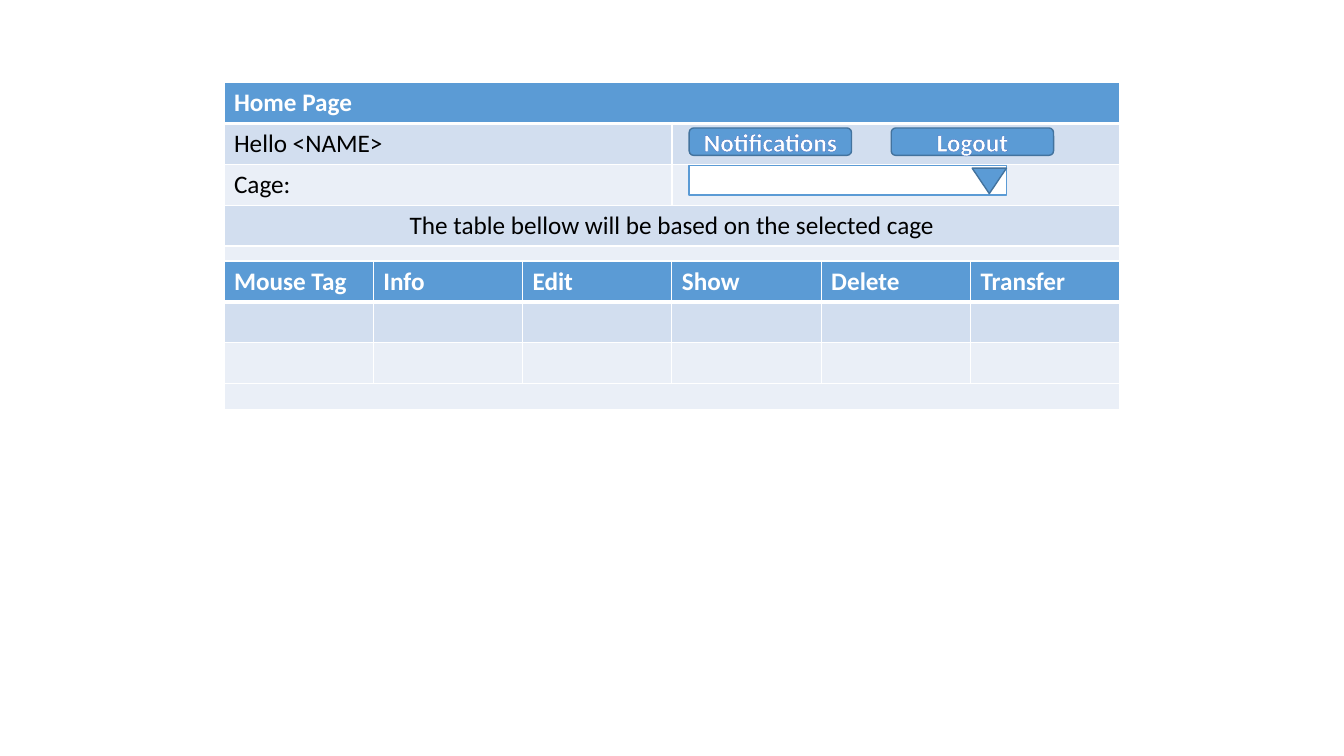
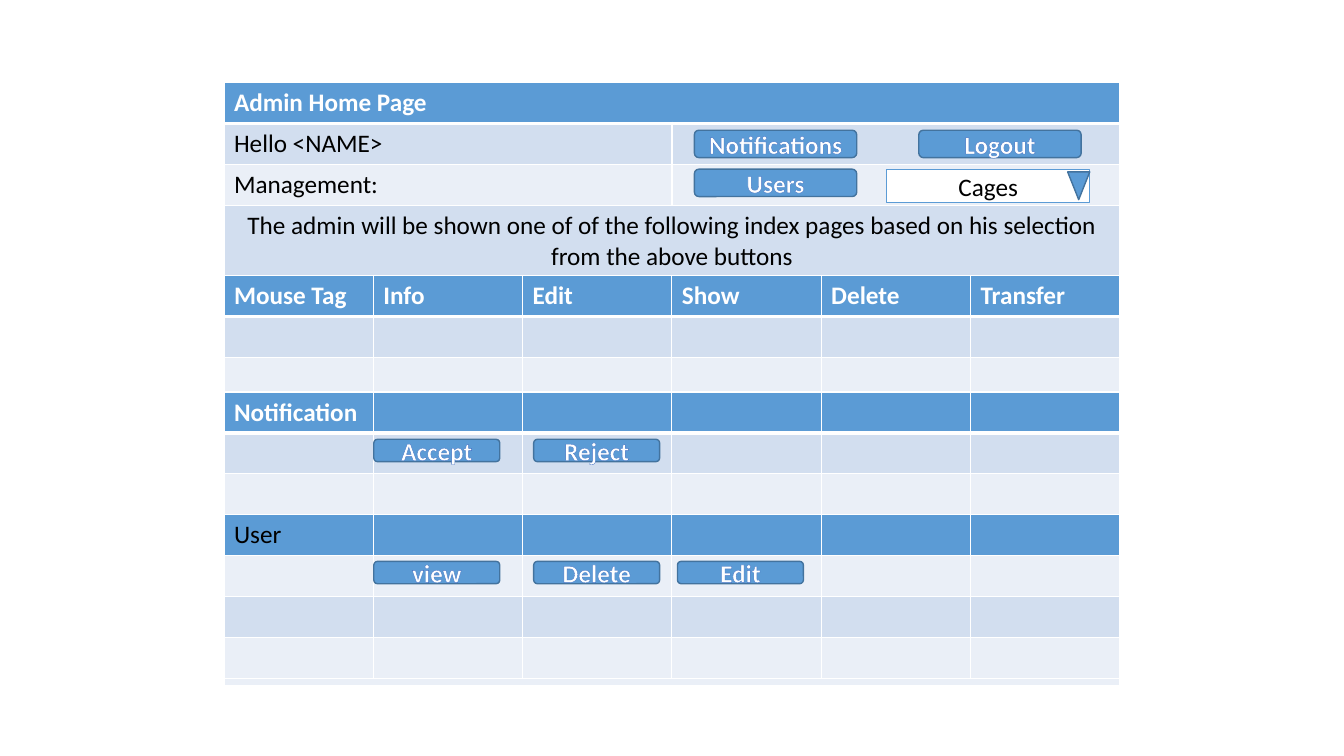
from lxml.etree import SubElement
from pptx import Presentation
from pptx.dml.color import RGBColor
from pptx.enum.shapes import MSO_SHAPE
from pptx.enum.text import MSO_ANCHOR, PP_ALIGN
from pptx.oxml.ns import qn
from pptx.util import Pt

COLORS = {
    "accent": "5B9BD5",
    "edge": "43739E",
    "outline": "4472C4",
    "dark_band": "D2DEEF",
    "light_band": "EAEFF7",
    "white": "FFFFFF",
    "black": "000000",
}
FONT = "Calibri"
LEFT, TOP, WIDTH = 160, 59, 640
ROW = 29.2
GRID_COLS = 6
EMPTY = [""] * GRID_COLS
MOUSE_ROWS = [
    ("head", ["Mouse Tag", "Info", "Edit", "Show", "Delete", "Transfer"]),
    ("dark", EMPTY),
    ("light", EMPTY),
]
USER_ROWS = [
    ("head", ["Notification"] + EMPTY[1:]),
    ("dark", EMPTY),
    ("light", EMPTY),
    ("subhead", ["User"] + EMPTY[1:]),
    ("light", EMPTY),
    ("dark", EMPTY),
    ("light", EMPTY),
]
ROW_FILLS = {
    "head": "accent",
    "subhead": "accent",
    "dark": "dark_band",
    "light": "light_band",
}


def rgb(name):
    return RGBColor.from_string(COLORS[name])


def add_line(parent, tag, color, width):
    ln = SubElement(parent, qn(tag), w=str(Pt(width)))
    fill = SubElement(ln, qn("a:solidFill"))
    SubElement(fill, qn("a:srgbClr"), val=COLORS[color])
    return ln


def write(tf, text, color="black", bold=False, align=PP_ALIGN.LEFT, outline=None):
    p = tf.paragraphs[0]
    p.alignment = align
    r = p.add_run()
    r.text = text
    r.font.size = Pt(18)
    r.font.name = FONT
    r.font.bold = bold
    r.font.color.rgb = rgb(color)
    if outline:
        r.font._element.insert(0, add_line(r.font._element, "a:ln", outline, 0.8))


def style_cell(cell, kind):
    tcPr = cell._tc.get_or_add_tcPr()
    for side in "LRTB":
        width = 3 if kind == "head" and side == "B" else 1
        add_line(tcPr, "a:ln" + side, "white", width)
    cell.fill.solid()
    cell.fill.fore_color.rgb = rgb(ROW_FILLS[kind])


def add_table(s, top, rows, cols, last=ROW, tall=None):
    heights = [ROW] * (len(rows) - 1) + [last]
    heights[-2] = tall or heights[-2]
    frame = s.shapes.add_table(
        len(rows), cols, Pt(LEFT), Pt(top), Pt(WIDTH), Pt(sum(heights))
    )
    table = frame.table
    for col in table.columns:
        col.width = Pt(WIDTH / cols)
    for i, (kind, texts) in enumerate(rows):
        table.rows[i].height = Pt(heights[i])
        for j in range(cols):
            style_cell(table.cell(i, j), kind)
        spans = len(texts) == 1
        if spans:
            table.cell(i, 0).merge(table.cell(i, cols - 1))
        head = kind == "head"
        for j, text in enumerate(texts):
            if text:
                write(
                    table.cell(i, j).text_frame,
                    text,
                    color="white" if head else "black",
                    bold=head,
                    align=PP_ALIGN.CENTER if spans and not head else PP_ALIGN.LEFT,
                )


def add_box(s, shape, x, y, w, h, fill="accent", line="edge"):
    sp = s.shapes.add_shape(shape, Pt(x), Pt(y), Pt(w), Pt(h))
    sp.shadow.inherit = False
    sp.fill.solid()
    sp.fill.fore_color.rgb = rgb(fill)
    sp.line.color.rgb = rgb(line)
    sp.line.width = Pt(1)
    sp.text_frame.vertical_anchor = MSO_ANCHOR.MIDDLE
    return sp


def add_button(s, text, x, y, w=116, h=19.6):
    sp = add_box(s, MSO_SHAPE.ROUNDED_RECTANGLE, x, y, w, h)
    write(sp.text_frame, text, "white", True, PP_ALIGN.CENTER, "outline")


def add_dropdown(s, x, y, w, h, arrow_w, arrow_h, text=""):
    sp = add_box(s, MSO_SHAPE.RECTANGLE, x, y, w, h, "white", "accent")
    if text:
        write(sp.text_frame, text, align=PP_ALIGN.CENTER)
    arrow = add_box(
        s, MSO_SHAPE.ISOSCELES_TRIANGLE, x + w - arrow_w, y + 1.8, arrow_w, arrow_h
    )
    arrow.rotation = 180


def add_page(prs, title, label, message, last, tall=None):
    s = prs.slides.add_slide(prs.slide_layouts[6])
    rows = [
        ("head", [title]),
        ("dark", ["Hello <NAME>", ""]),
        ("light", [label, ""]),
        ("dark", [message]),
        ("light", [""]),
    ]
    add_table(s, TOP, rows, 2, last, tall)
    return s


def add_home(prs):
    s = add_page(
        prs,
        "Home Page",
        "Cage:",
        "The table bellow will be based on the selected cage",
        116.6,
    )
    add_table(s, 186.5, MOUSE_ROWS, GRID_COLS)
    add_button(s, "Notifications", 492.3, 91.4)
    add_button(s, "Logout", 636.6, 91.4)
    add_dropdown(s, 492.3, 118.3, 226.6, 21, 24.5, 18.2)


def add_admin_home(prs):
    s = add_page(
        prs,
        "Admin Home Page",
        "Management:",
        "The admin will be shown one of of the following index pages "
        "based on his selection from the above buttons",
        286.8,
        56.2,
    )
    add_table(s, 196.8, MOUSE_ROWS, GRID_COLS)
    add_table(s, 280, USER_ROWS, GRID_COLS)
    add_button(s, "Notifications", 496, 93)
    add_button(s, "Logout", 656.3, 93)
    add_button(s, "Users", 496, 120.8)
    add_dropdown(s, 633.4, 121, 145, 23.6, 15.8, 19.8, "Cages")
    button_xs = [267, 381.2, 483.9]
    for y, labels in [(313.8, ["Accept", "Reject"]), (401, ["view", "Delete", "Edit"])]:
        for x, text in zip(button_xs, labels):
            add_button(s, text, x, y, 90, 16)


def main():
    prs = Presentation()
    prs.slide_width, prs.slide_height = Pt(960), Pt(540)
    add_home(prs)
    add_admin_home(prs)
    prs.save("out.pptx")


if __name__ == "__main__":
    main()
